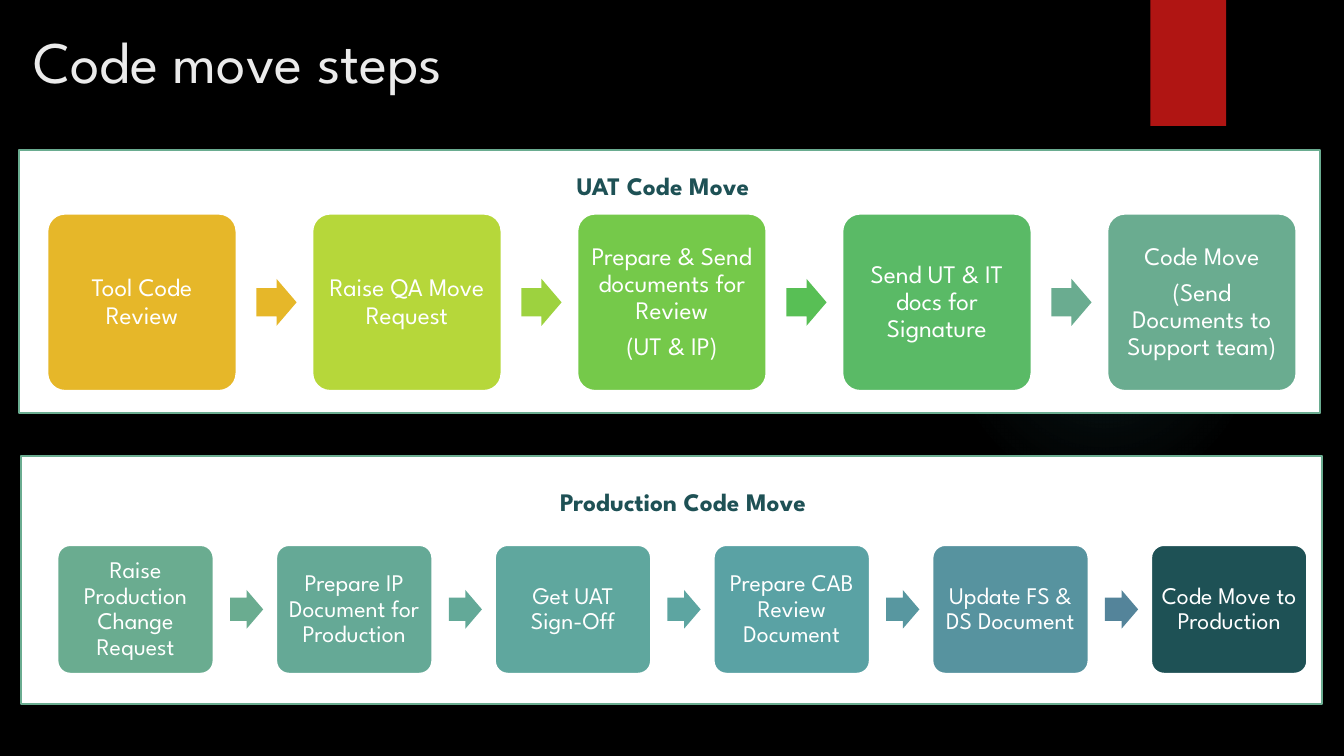
from lxml import etree
from pptx import Presentation
from pptx.dml.color import RGBColor
from pptx.enum.shapes import MSO_SHAPE as Shape
from pptx.enum.text import MSO_ANCHOR as Anchor, MSO_AUTO_SIZE as AutoSize, PP_ALIGN as Align
from pptx.oxml import parse_xml
from pptx.oxml.ns import nsdecls, qn
from pptx.util import Pt

FONT = "League Spartan"
BLACK = RGBColor(0x00, 0x00, 0x00)
WHITE = RGBColor(0xFF, 0xFF, 0xFF)
OFF_WHITE = RGBColor(0xEB, 0xEB, 0xEB)
RED = RGBColor(0xB0, 0x15, 0x13)
SAGE = RGBColor(0x6A, 0xAC, 0x90)
DARK_TEAL = RGBColor(0x1E, 0x51, 0x55)
GLOW = RGBColor(0x50, 0xB9, 0xC1)
GLOW_STOPS = [(0, 7), (36, 6), (69, 0)]  # position %, opacity %

# Content: each step is (paragraphs, box colour, colour of the arrow after it)
TITLE = "Code move steps"
FLOWS = [
    {
        "heading": "UAT Code Move",
        "heading_box": (355, 118, 237, 29),
        "panel": (13.7, 107.3, 929.5, 188),
        "first_box": (33.8, 152.6, 135.2, 126.7),
        "size": 18,
        "steps": [
            (["Tool Code Review"], RGBColor(0xE6, 0xB7, 0x29), RGBColor(0xE6, 0xB7, 0x29)),
            (["Raise QA Move Request"], RGBColor(0xB6, 0xD7, 0x3A), RGBColor(0x9D, 0xD2, 0x3F)),
            (["Prepare & Send documents for Review", "(UT & IP)"],
             RGBColor(0x75, 0xC9, 0x4A), RGBColor(0x58, 0xBF, 0x55)),
            (["Send UT & IT docs for Signature"], RGBColor(0x5A, 0xBA, 0x66), SAGE),
            (["Code Move", "(Send Documents to Support team)"], SAGE, None),
        ],
    },
    {
        "heading": "Production Code Move",
        "heading_box": (369.4, 344, 237, 29),
        "panel": (15.1, 325.5, 929.5, 177.1),
        "first_box": (41, 389.3, 111.6, 92),
        "size": 17,
        "steps": [
            (["Raise Production Change Request"], SAGE, SAGE),
            (["Prepare IP Document for Production"],
             RGBColor(0x65, 0xA9, 0x96), RGBColor(0x63, 0xA9, 0x98)),
            (["Get UAT Sign-Off"], RGBColor(0x5F, 0xA7, 0x9E), RGBColor(0x5D, 0xA5, 0xA1)),
            (["Prepare CAB Review Document"],
             RGBColor(0x5A, 0xA2, 0xA4), RGBColor(0x58, 0x97, 0xA0)),
            (["Update FS & DS Document"],
             RGBColor(0x57, 0x93, 0x9F), RGBColor(0x54, 0x84, 0x9A)),
            (["Code Move to Production"], DARK_TEAL, None),
        ],
    },
]

# Flow proportions, as shares of the box width
PITCH = 1.4
ARROW_START = 1.105
ARROW_WIDTH = 0.212
ARROW_HEIGHT = 0.248


def write(frame, paragraphs, size, color, bold=False, align=Align.CENTER,
          anchor=Anchor.TOP, margin=None, line_spacing=None, space_after=0):
    frame.word_wrap = True
    frame.auto_size = AutoSize.NONE
    frame.vertical_anchor = anchor
    if margin is not None:
        frame.margin_left = frame.margin_right = Pt(margin)
        frame.margin_top = frame.margin_bottom = Pt(margin)
    for index, text in enumerate(paragraphs):
        paragraph = frame.add_paragraph() if index else frame.paragraphs[0]
        paragraph.alignment = align
        paragraph.space_after = Pt(space_after)
        if line_spacing:
            paragraph.line_spacing = line_spacing
        run = paragraph.add_run()
        run.text = text
        run.font.name = FONT
        run.font.size = Pt(size)
        run.font.bold = bold
        run.font.color.rgb = color


def add_block(slide, preset, box, fill, line=None):
    shape = slide.shapes.add_shape(preset, *map(Pt, box))
    shape.shadow.inherit = False
    shape.fill.solid()
    shape.fill.fore_color.rgb = fill
    if line is None:
        shape.line.fill.background()
    else:
        shape.line.color.rgb = line
        shape.line.width = Pt(1.5)
    return shape


def fade_out(shape):
    """Replace the solid fill with a radial fade."""
    stops = "".join(
        f'<a:gs pos="{position * 1000}"><a:srgbClr val="{GLOW}">'
        f'<a:alpha val="{opacity * 1000}"/></a:srgbClr></a:gs>'
        for position, opacity in GLOW_STOPS)
    gradient = parse_xml(
        f'<a:gradFill {nsdecls("a")}><a:gsLst>{stops}</a:gsLst><a:path path="circle">'
        '<a:fillToRect l="50000" t="50000" r="50000" b="50000"/></a:path></a:gradFill>')
    properties = shape.fill._xPr
    properties.replace(properties.find(qn("a:solidFill")), gradient)


def add_flow(slide, flow):
    add_block(slide, Shape.RECTANGLE, flow["panel"], WHITE, SAGE)
    heading = slide.shapes.add_textbox(*map(Pt, flow["heading_box"]))
    write(heading.text_frame, [flow["heading"]], 18, DARK_TEAL, bold=True)

    left, top, width, height = flow["first_box"]
    arrow_width, arrow_height = ARROW_WIDTH * width, ARROW_HEIGHT * width
    arrow_top = top + (height - arrow_height) / 2
    for index, (paragraphs, fill, arrow_fill) in enumerate(flow["steps"]):
        step_left = left + index * PITCH * width
        step = add_block(slide, Shape.ROUNDED_RECTANGLE,
                         (step_left, top, width, height), fill, WHITE)
        step.adjustments[0] = 0.1
        write(step.text_frame, paragraphs, flow["size"], WHITE, anchor=Anchor.MIDDLE,
              margin=5, line_spacing=0.9, space_after=0.35 * flow["size"])
        if arrow_fill is not None:
            arrow = add_block(slide, Shape.RIGHT_ARROW,
                              (step_left + ARROW_START * width, arrow_top,
                               arrow_width, arrow_height), arrow_fill)
            arrow.adjustments[0] = 0.6
            arrow.adjustments[1] = 0.5


def main():
    presentation = Presentation()
    presentation.slide_width, presentation.slide_height = Pt(960), Pt(540)
    slide = presentation.slides.add_slide(presentation.slide_layouts[5])
    slide.background.fill.solid()
    slide.background.fill.fore_color.rgb = BLACK

    # Backdrop: soft glow and red tab
    fade_out(add_block(slide, Shape.OVAL, (677.5, 131.8, 221.8, 221.8), GLOW))
    add_block(slide, Shape.RECTANGLE, (821.8, 0, 54, 90), RED)

    # Title
    title = slide.shapes.title
    title.left, title.top, title.width, title.height = map(Pt, (16.6, 13.7, 741, 110))
    write(title.text_frame, [TITLE], 42, OFF_WHITE, align=Align.LEFT)

    # Process flows
    for flow in FLOWS:
        add_flow(slide, flow)

    presentation.save("out.pptx")


if __name__ == "__main__":
    main()
